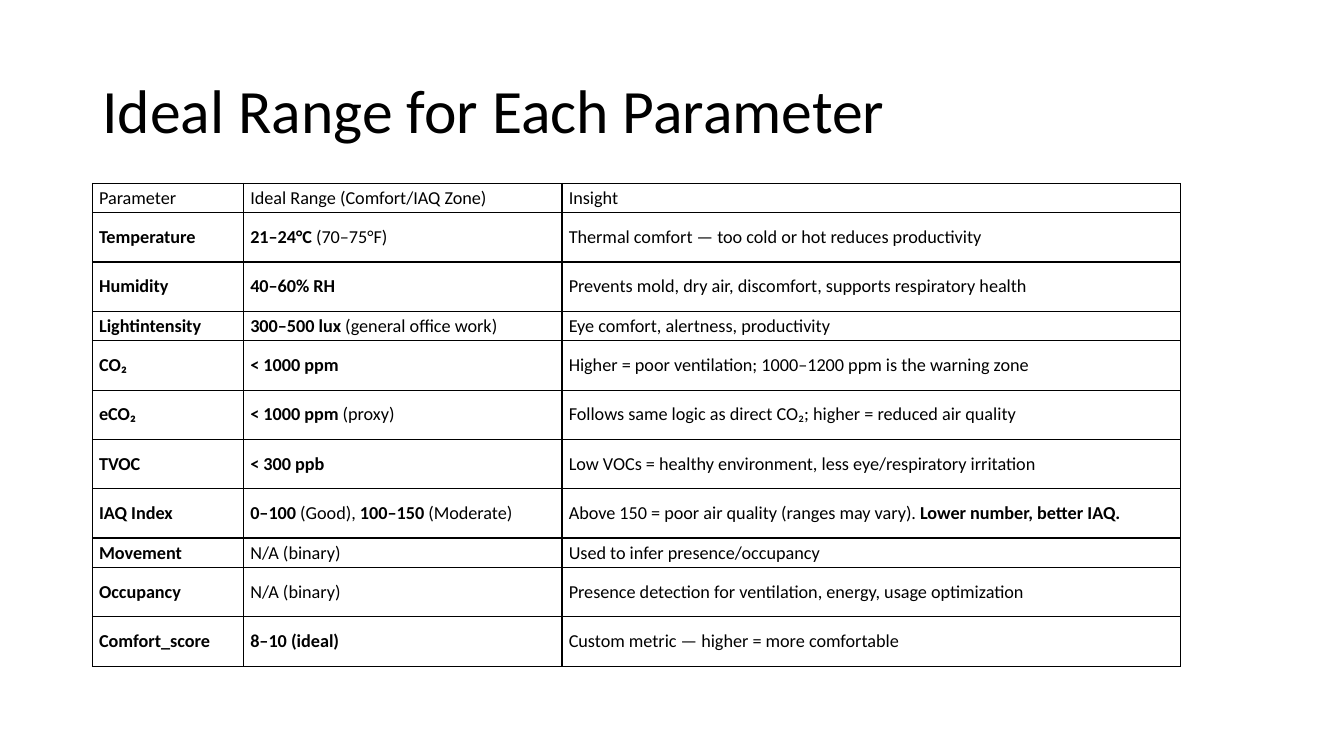
from dataclasses import dataclass

from lxml import etree
from pptx import Presentation
from pptx.dml.color import RGBColor
from pptx.enum.text import MSO_ANCHOR, MSO_AUTO_SIZE, PP_ALIGN
from pptx.oxml.ns import qn
from pptx.util import Pt

MIDDLE = MSO_ANCHOR.MIDDLE
LEFT = PP_ALIGN.LEFT
NO_AUTOFIT = MSO_AUTO_SIZE.NONE
TITLE_ONLY = 5


@dataclass(frozen=True)
class Theme:
    font: str = "Calibri"
    ink: str = "000000"
    title_size: float = 44
    table_size: float = 13
    border_width: float = 1


# Content: text between ** marks is bold
HEADER = ("Parameter", "Ideal Range (Comfort/IAQ Zone)", "Insight")
PARAMETERS = [
    ("**Temperature**", "**21–24°C** (70–75°F)",
     "Thermal comfort — too cold or hot reduces productivity"),
    ("**Humidity**", "**40–60% RH**",
     "Prevents mold, dry air, discomfort, supports respiratory health"),
    ("**Lightintensity**", "**300–500 lux** (general office work)",
     "Eye comfort, alertness, productivity"),
    ("**CO₂**", "**< 1000 ppm**",
     "Higher = poor ventilation; 1000–1200 ppm is the warning zone"),
    ("**eCO₂**", "**< 1000 ppm** (proxy)",
     "Follows same logic as direct CO₂; higher = reduced air quality"),
    ("**TVOC**", "**< 300 ppb**",
     "Low VOCs = healthy environment, less eye/respiratory irritation"),
    ("**IAQ Index**", "**0–100** (Good), **100–150** (Moderate)",
     "Above 150 = poor air quality (ranges may vary). **Lower number, better IAQ.**"),
    ("**Movement**", "N/A (binary)", "Used to infer presence/occupancy"),
    ("**Occupancy**", "N/A (binary)",
     "Presence detection for ventilation, energy, usage optimization"),
    ("**Comfort_score**", "**8–10 (ideal)**",
     "Custom metric — higher = more comfortable"),
]
COLUMN_WIDTHS = (108, 227.5, 441.5)
SHORT_ROW, TALL_ROW = 21, 35.25
SHORT_ROWS = {0, 3, 8}


class SlideBuilder:
    def __init__(self, slide, theme):
        self.slide = slide
        self.theme = theme

    def format_run(self, run, size, bold=False):
        run.font.name = self.theme.font
        run.font.size = Pt(size)
        run.font.bold = bold
        run.font.color.rgb = RGBColor.from_string(self.theme.ink)

    def title(self, text, left, top, width, height):
        shape = self.slide.shapes.title
        shape.left, shape.top = Pt(left), Pt(top)
        shape.width, shape.height = Pt(width), Pt(height)
        frame = shape.text_frame
        frame.text = text
        frame.auto_size = NO_AUTOFIT
        frame.vertical_anchor = MIDDLE
        paragraph = frame.paragraphs[0]
        paragraph.alignment = LEFT
        paragraph.line_spacing = 0.9
        self.format_run(paragraph.runs[0], self.theme.title_size)

    def table(self, rows, left, top, widths, heights):
        shape = self.slide.shapes.add_table(
            len(rows), len(widths), Pt(left), Pt(top),
            Pt(sum(widths)), Pt(sum(heights)))
        table = shape.table
        table.first_row = table.horz_banding = False
        for column, width in zip(table.columns, widths):
            column.width = Pt(width)
        for row, height, texts in zip(table.rows, heights, rows):
            row.height = Pt(height)
            for cell, text in zip(row.cells, texts):
                self.cell(cell, text)

    def cell(self, cell, text):
        cell.margin_left = cell.margin_right = Pt(4.8)
        cell.margin_top = cell.margin_bottom = Pt(2.4)
        cell.vertical_anchor = MIDDLE
        paragraph = cell.text_frame.paragraphs[0]
        for index, part in enumerate(text.split("**")):
            if part:
                run = paragraph.add_run()
                run.text = part
                self.format_run(run, self.theme.table_size, bold=index % 2 == 1)
        self.borders(cell)
        cell.fill.background()

    def borders(self, cell):
        properties = cell._tc.get_or_add_tcPr()
        for side in ("a:lnL", "a:lnR", "a:lnT", "a:lnB"):
            line = etree.SubElement(properties, qn(side),
                                    w=str(Pt(self.theme.border_width)))
            fill = etree.SubElement(line, qn("a:solidFill"))
            etree.SubElement(fill, qn("a:srgbClr"), val=self.theme.ink)


def main():
    presentation = Presentation()
    presentation.slide_width, presentation.slide_height = Pt(960), Pt(540)
    slide = presentation.slides.add_slide(presentation.slide_layouts[TITLE_ONLY])
    builder = SlideBuilder(slide, Theme())

    # Title
    builder.title("Ideal Range for Each Parameter", 66, 28.75, 828, 104.4)

    # Parameter table
    rows = [HEADER, *PARAMETERS]
    heights = [SHORT_ROW if index in SHORT_ROWS else TALL_ROW
               for index in range(len(rows))]
    builder.table(rows, 66, 131, COLUMN_WIDTHS, heights)

    presentation.save("out.pptx")


if __name__ == "__main__":
    main()
